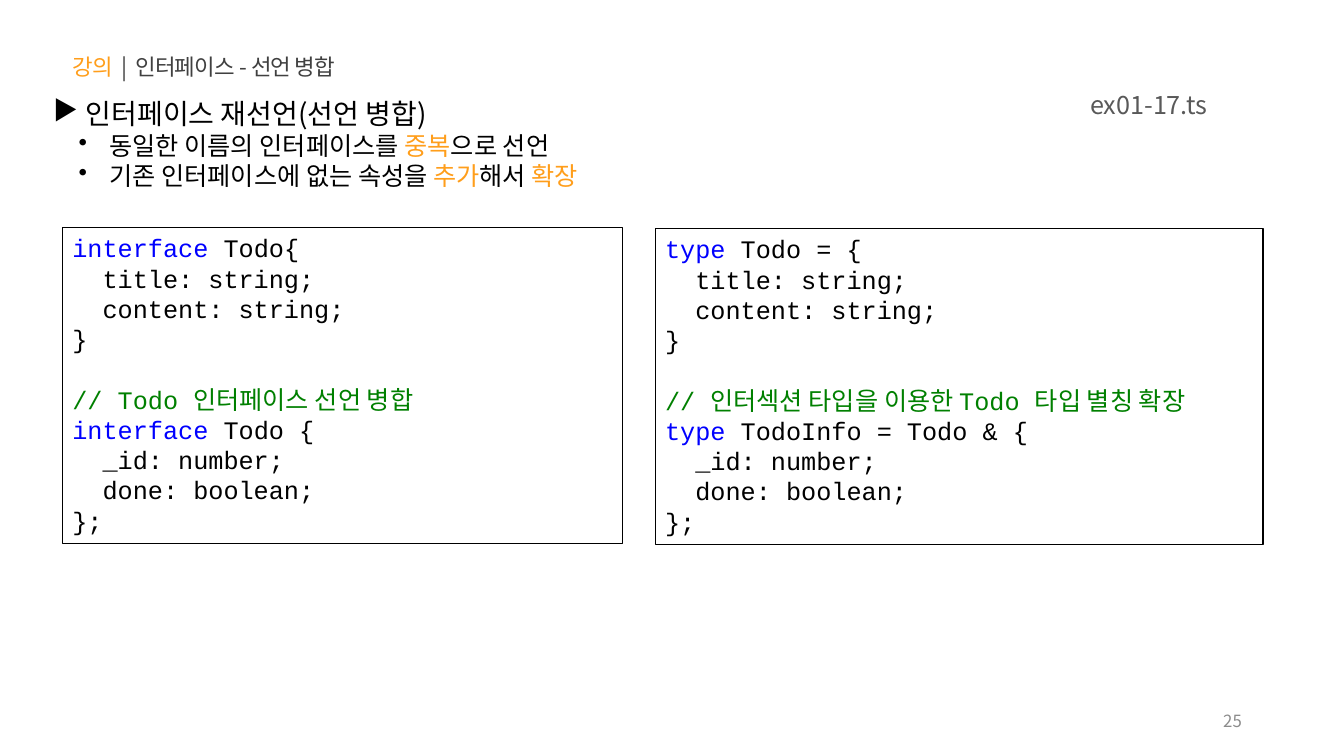
import pptx
import pptx.dml.color
import pptx.enum.shapes
import pptx.enum.text
import pptx.oxml
import pptx.oxml.ns
import pptx.util

SANS = "Noto Sans CJK KR"
MONO = "Courier New"
BLACK = "000000"
ORANGE = "FF9E1B"
BLUE = "0000FF"
GREEN = "008000"
LINE_HEIGHT = 1.2
TOP = pptx.enum.text.MSO_ANCHOR.TOP
MIDDLE = pptx.enum.text.MSO_ANCHOR.MIDDLE
LEFT = pptx.enum.text.PP_ALIGN.LEFT
RIGHT = pptx.enum.text.PP_ALIGN.RIGHT

FIELDS = {
    "todo": [[("  title: string;", BLACK)], [("  content: string;", BLACK)], [("}", BLACK)]],
    "extension": [[("  _id: number;", BLACK)], [("  done: boolean;", BLACK)], [("};", BLACK)]],
}


def color(hex_string):
    return pptx.dml.color.RGBColor.from_string(hex_string)


def place(shape, left, top, width, height):
    shape.left, shape.top = pptx.util.Pt(left), pptx.util.Pt(top)
    shape.width, shape.height = pptx.util.Pt(width), pptx.util.Pt(height)


def prepare_frame(shape, anchor=TOP):
    frame = shape.text_frame
    frame.word_wrap = True
    frame.auto_size = pptx.enum.text.MSO_AUTO_SIZE.NONE
    frame.vertical_anchor = anchor
    return frame


def write_paragraph(paragraph, runs, size, font=SANS, alignment=LEFT):
    paragraph.alignment = alignment
    paragraph.line_spacing = pptx.util.Pt(size * LINE_HEIGHT)
    paragraph.font.size = pptx.util.Pt(size)
    paragraph.font.name = font
    defaults = paragraph._p.pPr.find(pptx.oxml.ns.qn("a:defRPr"))
    east_asian = pptx.oxml.parse_xml(f'<a:ea {pptx.oxml.ns.nsdecls("a")} typeface="{SANS}"/>')
    defaults.append(east_asian)
    for text, hex_string in runs:
        run = paragraph.add_run()
        run.text = text
        run.font.color.rgb = color(hex_string)
    return defaults


def add_bullet(paragraph, character, margin=0, indent=0):
    properties = paragraph._p.pPr
    properties.set("marL", str(pptx.util.Pt(margin)))
    properties.set("indent", str(pptx.util.Pt(indent)))
    bullet = pptx.oxml.parse_xml(f'<a:buChar {pptx.oxml.ns.nsdecls("a")} char="{character}"/>')
    properties.find(pptx.oxml.ns.qn("a:defRPr")).addprevious(bullet)


def write_title(slide, runs):
    title = slide.shapes.title
    place(title, 44.6, 34.6, 370.8, 26.6)
    paragraph = prepare_frame(title).paragraphs[0]
    write_paragraph(paragraph, runs, 16).set("spc", "-60")


def add_label(slide, box, text, size, hex_string, anchor=TOP):
    label = slide.shapes.add_textbox(*map(pptx.util.Pt, box))
    paragraph = prepare_frame(label, anchor).paragraphs[0]
    write_paragraph(paragraph, [(text, hex_string)], size, alignment=RIGHT)


def add_outline(slide, box, heading, points):
    outline = slide.shapes.add_textbox(*map(pptx.util.Pt, box))
    frame = prepare_frame(outline)
    write_paragraph(frame.paragraphs[0], [(heading, BLACK)], 20)
    add_bullet(frame.paragraphs[0], "▶")
    for runs in points:
        paragraph = frame.add_paragraph()
        paragraph.level = 1
        write_paragraph(paragraph, runs, 18)
        add_bullet(paragraph, "•", 36, -18)


def add_code(slide, box, keyword, opening, comment, extension):
    rectangle = slide.shapes.add_shape(
        pptx.enum.shapes.MSO_SHAPE.RECTANGLE, *map(pptx.util.Pt, box)
    )
    rectangle.shadow.inherit = False
    rectangle.fill.background()
    rectangle.line.color.rgb = color(BLACK)
    rectangle.line.width = pptx.util.Pt(0.75)
    frame = prepare_frame(rectangle)
    lines = [
        [(keyword, BLUE), (opening, BLACK)],
        *FIELDS["todo"],
        [(comment, GREEN)],
        [(keyword, BLUE), (extension, BLACK)],
        *FIELDS["extension"],
    ]
    for index, runs in enumerate(lines):
        paragraph = frame.add_paragraph() if index else frame.paragraphs[0]
        if runs[0][1] == GREEN:
            paragraph.add_line_break()
        write_paragraph(paragraph, runs, 18, MONO)


def main():
    presentation = pptx.Presentation()
    presentation.slide_width = pptx.util.Pt(960)
    presentation.slide_height = pptx.util.Pt(540)
    slide = presentation.slides.add_slide(presentation.slide_layouts[5])

    write_title(slide, [("강의  ", ORANGE), ("|  인터페이스 - 선언 병합", "404040")])
    add_outline(slide, (31, 65.5, 658, 75), " 인터페이스 재선언(선언 병합)", [
        [(" 동일한 이름의 인터페이스를 ", BLACK), ("중복", ORANGE), ("으로 선언", BLACK)],
        [(" 기존 인터페이스에 없는 속성을 ", BLACK), ("추가", ORANGE),
         ("해서 ", BLACK), ("확장", ORANGE)],
    ])
    add_label(slide, (678.2, 500.4, 216, 28.8), "25", 12, "8C8C8C", MIDDLE)
    add_code(slide, (44.6, 162.7, 400.3, 225.4), "interface", " Todo{",
             "// Todo 인터페이스 선언 병합", " Todo {")
    add_code(slide, (468, 163.4, 434.2, 225.4), "type", " Todo = {",
             "// 인터섹션 타입을 이용한 Todo 타입 별칭 확장", " TodoInfo = Todo & {")
    add_label(slide, (684, 60.5, 185.8, 28.8), "ex01-17.ts", 18, "595959")

    presentation.save("out.pptx")


if __name__ == "__main__":
    main()
